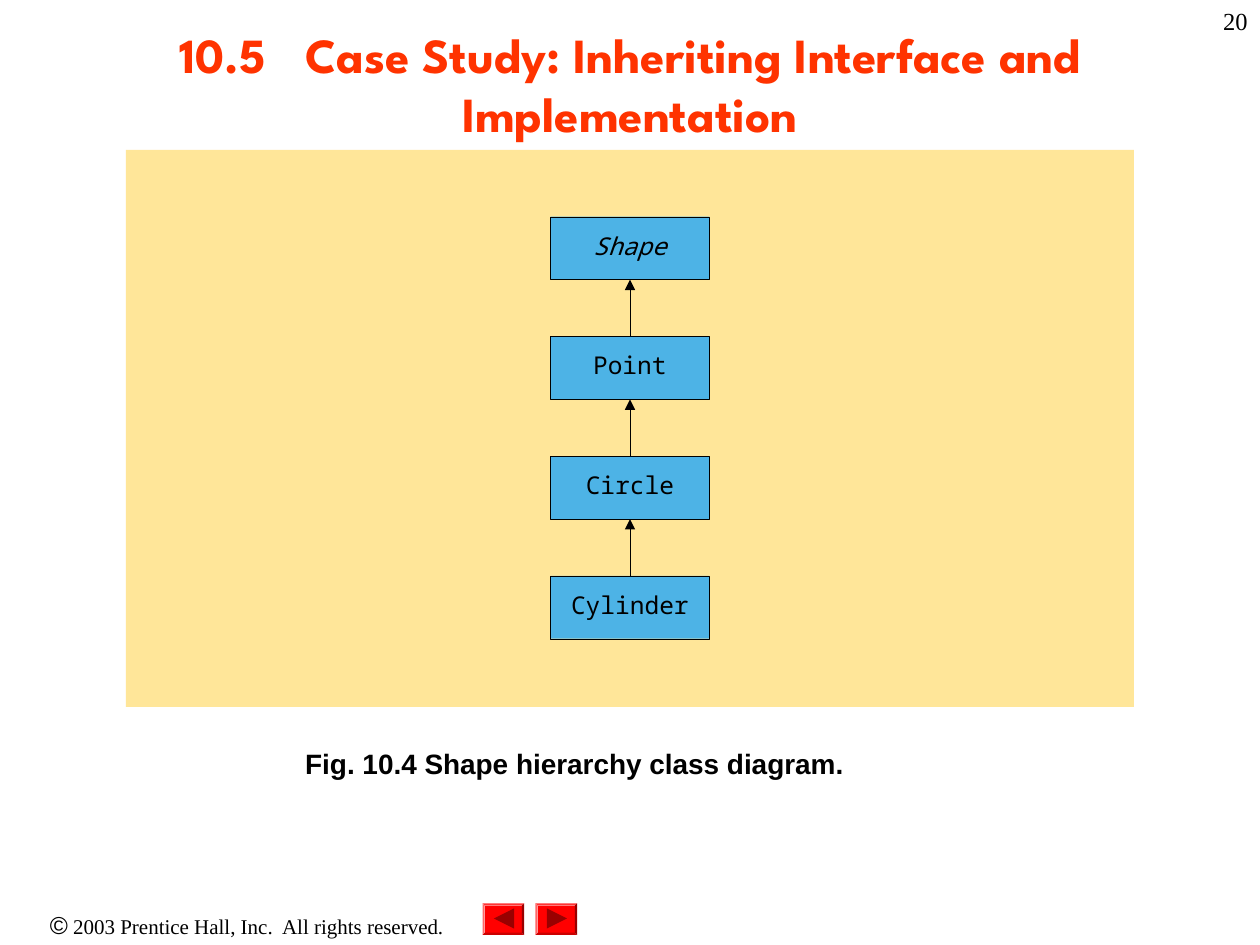
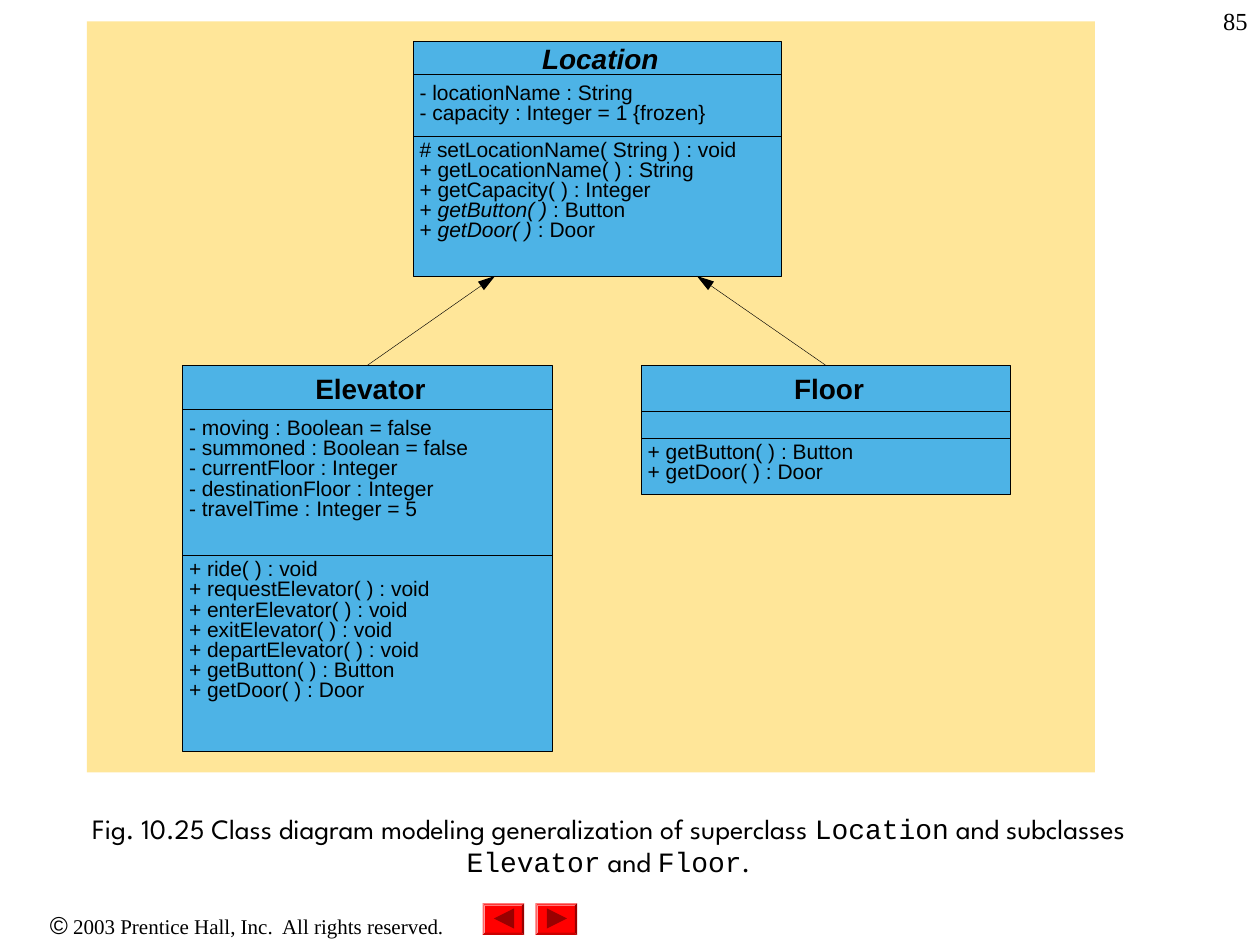
from itertools import pairwise

from lxml import etree
from pptx import Presentation
from pptx.dml.color import RGBColor
from pptx.enum.shapes import MSO_CONNECTOR, MSO_SHAPE
from pptx.enum.text import MSO_ANCHOR, PP_ALIGN
from pptx.oxml.ns import qn
from pptx.util import Inches, Pt

# Shared style
COLORS = {"title": "FF3300", "text": "000000", "panel": "FFE699",
          "box": "4DB3E6", "button": "FF0000", "icon": "990000"}
SANS, SERIF, CODE = "Arial", "Times New Roman", "Courier New"
DISPLAY, MONO = "League Spartan", "Noto Sans Mono"
CENTER, LEFT, RIGHT = PP_ALIGN.CENTER, PP_ALIGN.LEFT, PP_ALIGN.RIGHT

# Footer and navigation buttons: left edge, then x of triangle base and tip
FOOTER = [("©", {"font": SANS, "size": 14}),
          (" 2003 Prentice Hall, Inc.  All rights reserved.",
           {"font": SERIF, "size": 12})]
BUTTONS = [(3.83, 4.08, 3.92), (4.25, 4.34, 4.5)]

# Slide 20: class chain, from the base class down
CHAIN_TITLE = "10.5  \tCase Study: Inheriting Interface and Implementation"
CHAIN_CAPTION = "Fig. 10.4 Shape hierarchy class diagram."
CHAIN = ["Shape", "Point", "Circle", "Cylinder"]
CHAIN_LEFT, CHAIN_TOP, CHAIN_PITCH = 4.37, 1.72, 0.95
CHAIN_W, CHAIN_H = 1.26, 0.5

# Slide 85: class boxes; the middle part of a split line is abstract
CLASSES = [
    {"name": "Location", "abstract": True, "at": (3.28, 0.33, 2.92, 1.86),
     "name_top": 0.38, "dividers": (0.59, 1.08),
     "attributes": ["- locationName : String",
                    "- capacity : Integer = 1 {frozen}"],
     "operations": ["# setLocationName( String ) : void",
                    "+ getLocationName( ) : String",
                    "+ getCapacity( ) : Integer",
                    ("+ ", "getButton( )", " : Button"),
                    ("+ ", "getDoor( )", " : Door")]},
    {"name": "Elevator", "abstract": False, "at": (1.45, 2.9, 2.93, 3.06),
     "name_top": 3, "dividers": (3.25, 4.41),
     "attributes": ["- moving : Boolean = false",
                    "- summoned : Boolean = false",
                    "- currentFloor : Integer",
                    "- destinationFloor : Integer",
                    "- travelTime : Integer = 5"],
     "operations": ["+ ride( ) : void",
                    "+ requestElevator( ) : void",
                    "+ enterElevator( ) : void",
                    "+ exitElevator( ) : void",
                    "+ departElevator( ) : void",
                    "+ getButton( ) : Button",
                    "+ getDoor( ) : Door"]},
    {"name": "Floor", "abstract": False, "at": (5.09, 2.9, 2.93, 1.02),
     "name_top": 3, "dividers": (3.26, 3.48),
     "attributes": [],
     "operations": ["+ getButton( ) : Button", "+ getDoor( ) : Door"]},
]
GENERALIZATIONS = [("Elevator", (3.93, 2.19)), ("Floor", (5.53, 2.19))]
CLASS_CAPTION = [
    ("Fig. 10.25 Class diagram modeling generalization of superclass ", DISPLAY),
    ("Location", CODE), (" and subclasses ", DISPLAY), ("Elevator", CODE),
    (" and ", DISPLAY), ("Floor", CODE), (".", DISPLAY)]


def rgb(name):
    return RGBColor.from_string(COLORS[name])


def set_font(f, font=None, size=None, color=None, bold=None, italic=None):
    if font:
        f.name = font
    if size:
        f.size = Pt(size)
    if color:
        f.color.rgb = rgb(color)
    if bold is not None:
        f.bold = bold
    if italic is not None:
        f.italic = italic


def write(tf, lines, align=LEFT, spacing=None, tab=None, inset=True, **style):
    """Fill a frame; a line is a string or a list of (text, run style)."""
    tf.word_wrap = True
    if not inset:
        tf.margin_left = tf.margin_right = tf.margin_top = tf.margin_bottom = 0
    for i, line in enumerate(lines):
        p = tf.add_paragraph() if i else tf.paragraphs[0]
        p.alignment = align
        if tab:
            tabs = etree.SubElement(p._p.get_or_add_pPr(), qn("a:tabLst"))
            etree.SubElement(tabs, qn("a:tab"), pos=str(Inches(tab)), algn="l")
        if spacing:
            p.line_spacing = spacing
        set_font(p.font, **{"color": "text", **style})
        for text, run_style in [(line, {})] if isinstance(line, str) else line:
            r = p.add_run()
            r.text = text
            set_font(r.font, **run_style)


def add_text(s, at, lines, anchor=MSO_ANCHOR.TOP, **style):
    tf = s.shapes.add_textbox(*map(Inches, at)).text_frame
    tf.vertical_anchor = anchor
    write(tf, lines, **style)


def paint(sp, fill, line=None, width=0.25):
    sp.shadow.inherit = False
    sp.fill.solid()
    sp.fill.fore_color.rgb = rgb(fill)
    if line:
        sp.line.color.rgb = rgb(line)
        sp.line.width = Pt(width)
    else:
        sp.line.fill.background()
    return sp


def add_box(s, at, fill, line=None, width=0.25, kind=MSO_SHAPE.RECTANGLE):
    return paint(s.shapes.add_shape(kind, *map(Inches, at)), fill, line, width)


def add_line(s, start, end, width=0.25, arrow_len=None):
    c = s.shapes.add_connector(MSO_CONNECTOR.STRAIGHT,
                               *map(Inches, (*start, *end)))
    c.line.color.rgb = rgb("text")
    c.line.width = Pt(width)
    if arrow_len:
        etree.SubElement(c.line._get_or_add_ln(), qn("a:tailEnd"),
                         type="triangle", w="med", len=arrow_len)
    etree.SubElement(c._element.spPr, qn("a:effectLst"))
    return c


def new_slide(prs, number):
    """Blank slide with footer, navigation buttons and page number."""
    s = prs.slides.add_slide(prs.slide_layouts[6])
    add_text(s, (0, 7.17, 3.92, 0.34), [FOOTER], align=CENTER)
    for left, base, tip in BUTTONS:
        bevel = add_box(s, (left, 7.17, 0.33, 0.25), "button",
                        kind=MSO_SHAPE.BEVEL)
        bevel.adjustments[0] = 0.07
        fb = s.shapes.build_freeform(Inches(base), Inches(7.21))
        fb.add_line_segments([(Inches(tip), Inches(7.29)),
                              (Inches(base), Inches(7.37))])
        paint(fb.convert_to_shape(), "icon")
    add_text(s, (7.92, 0, 2.08, 0.5), [str(number)], align=RIGHT,
             font=SERIF, size=14)
    return s


def chain_slide(prs):
    s = new_slide(prs, 20)
    add_text(s, (0.75, 0.08, 8.5, 1.17), [CHAIN_TITLE], MSO_ANCHOR.MIDDLE,
             align=CENTER, tab=1, font=DISPLAY, size=28, color="title",
             bold=True)
    add_box(s, (1, 1.19, 8, 4.42), "panel")
    boxes = []
    for i, name in enumerate(CHAIN):
        box = add_box(s, (CHAIN_LEFT, CHAIN_TOP + i * CHAIN_PITCH,
                          CHAIN_W, CHAIN_H), "box", "text", 0.2)
        box.text_frame.vertical_anchor = MSO_ANCHOR.MIDDLE
        write(box.text_frame, [name], align=CENTER, spacing=0.8, inset=False,
              font=MONO, size=14, italic=i == 0)
        boxes.append(box)
    for parent, child in pairwise(boxes):
        c = add_line(s, (0, 0), (1, 1), 0.2, "med")
        c.begin_connect(child, 0)
        c.end_connect(parent, 2)
    add_text(s, (2.04, 5.88, 5.04, 0.37), [CHAIN_CAPTION], align=CENTER,
             font=SANS, size=16, bold=True)


def add_class(s, cls):
    left, top, width, height = cls["at"]
    box = add_box(s, cls["at"], "box", "text")
    for y in cls["dividers"]:
        add_line(s, (left, y), (left + width, y))
    add_text(s, (left + 0.05, cls["name_top"], width - 0.05, 0.25),
             [cls["name"]], align=CENTER, spacing=0.8, inset=False,
             font=SANS, size=16, bold=True, italic=cls["abstract"])
    # Attributes and operations each start just below a divider
    members = zip(cls["dividers"], (0.08, 0.04),
                  (cls["attributes"], cls["operations"]))
    for y, gap, lines in members:
        if lines:
            runs = [line if isinstance(line, str) else
                    [(part, {"italic": i == 1}) for i, part in enumerate(line)]
                    for line in lines]
            add_text(s, (left + 0.05, y + gap, width - 0.05, 0.22 * len(lines)),
                     runs, spacing=0.8, inset=False, font=SANS, size=12)
    return box


def class_slide(prs):
    s = new_slide(prs, 85)
    add_box(s, (0.69, 0.17, 8, 5.96), "panel")
    boxes = {cls["name"]: add_class(s, cls) for cls in CLASSES}
    for child, target in GENERALIZATIONS:
        c = add_line(s, (0, 0), target, arrow_len="lg")
        c.begin_connect(boxes[child], 0)
    caption = [(text, {"font": font}) for text, font in CLASS_CAPTION]
    add_text(s, (0.58, 6.33, 8.5, 0.75), [caption], MSO_ANCHOR.MIDDLE,
             align=CENTER, size=16)


def main():
    prs = Presentation()
    prs.slide_width, prs.slide_height = Inches(10), Inches(7.5)
    chain_slide(prs)
    class_slide(prs)
    prs.save("out.pptx")


if __name__ == "__main__":
    main()
